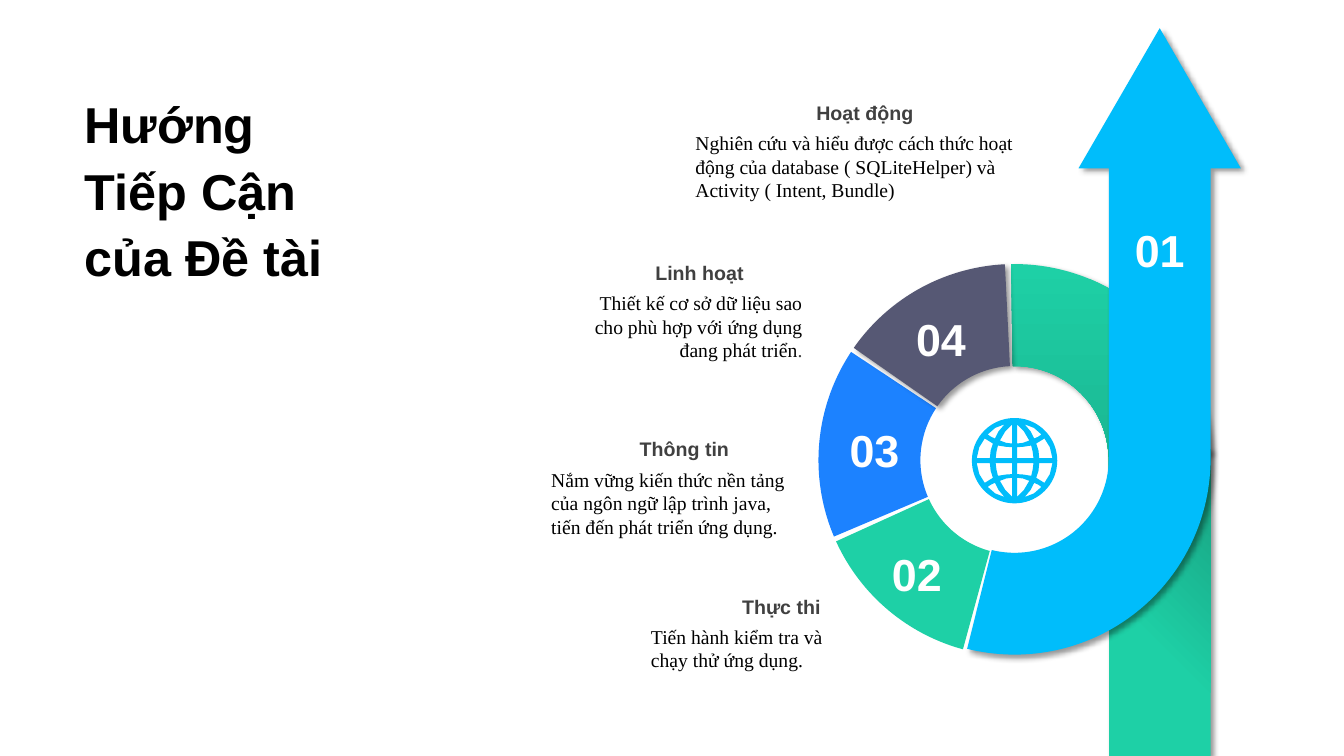
from itertools import product
from math import cos, radians, sin

from lxml import etree
from pptx import Presentation
from pptx import util as u
from pptx.dml import color
from pptx.enum import shapes, text
from pptx.oxml import ns

COLORS = {
    "sky": "00BDFB",
    "green": "1ED0A6",
    "deep": "179C7D",
    "blue": "1C82FF",
    "slate": "565874",
    "black": "000000",
    "gray": "404040",
    "white": "FFFFFF",
}
COLS, ROWS = 160, 90
LEFT, CENTER, RIGHT = text.PP_ALIGN.LEFT, text.PP_ALIGN.CENTER, text.PP_ALIGN.RIGHT


def rgb(name):
    return color.RGBColor.from_string(COLORS[name])


def write(tf, runs, size=14, font="Arial", bold=False, align=LEFT, spacing=None):
    p = tf.paragraphs[0]
    p.alignment = align
    p.line_spacing = spacing
    for content, name in runs:
        r = p.add_run()
        r.text = content
        r.font.size = u.Pt(size)
        r.font.name = font
        r.font.bold = bold
        r.font.color.rgb = rgb(name)


def arc(center, radius, start, end, step=2):
    turn = step if end > start else -step
    return [
        (center[0] + radius * cos(radians(a)), center[1] + radius * sin(radians(a)))
        for a in range(start, end + turn, turn)
    ]


class Deck:
    def __init__(self):
        self.prs = Presentation()
        self.prs.slide_width, self.prs.slide_height = u.Inches(13.333), u.Inches(7.5)
        self.cell = self.prs.slide_height / ROWS
        self.s = self.prs.slides.add_slide(self.prs.slide_layouts[6])

    def grid(self, *values):
        return [u.Emu(round(v * self.cell)) for v in values]

    def style(self, sp, fill, angle=None, start=0, shadow=False):
        sp.line.fill.background()
        if angle is None:
            sp.fill.solid()
            sp.fill.fore_color.rgb = rgb(fill)
        else:
            sp.fill.gradient()
            sp.fill.gradient_angle = angle
            stops = zip(sp.fill.gradient_stops, (fill, "deep"), (start, 1))
            for stop, name, position in stops:
                stop.color.rgb = rgb(name)
                stop.position = position
        sp.shadow.inherit = False
        if shadow:
            effects = sp.element.spPr.find(ns.qn("a:effectLst"))
            outer = etree.SubElement(
                effects, ns.qn("a:outerShdw"), blurRad="50800", dist="38100",
                dir="2700000", algn="tl", rotWithShape="0")
            tone = etree.SubElement(outer, ns.qn("a:srgbClr"), val=COLORS["black"])
            etree.SubElement(tone, ns.qn("a:alpha"), val="40000")

    def preset(self, kind, box, fill, rotation=0, adjust=(), **look):
        sp = self.s.shapes.add_shape(kind, *self.grid(*box))
        sp.rotation = rotation
        for i, value in enumerate(adjust):
            sp.adjustments[i] = value
        self.style(sp, fill, **look)

    def outline(self, contours, fill, **look):
        builder = None
        for contour in contours:
            first, *rest = [self.grid(*point) for point in contour]
            if builder is None:
                builder = self.s.shapes.build_freeform(*first)
            else:
                builder.move_to(*first)
            builder.add_line_segments(rest, close=True)
        self.style(builder.convert_to_shape(), fill, **look)

    def label(self, box, runs, grow=True, **form):
        tf = self.s.shapes.add_textbox(*self.grid(*box)).text_frame
        tf.word_wrap = True
        if grow:
            tf.auto_size = text.MSO_AUTO_SIZE.SHAPE_TO_FIT_TEXT
        else:
            tf.vertical_anchor = text.MSO_ANCHOR.MIDDLE
        write(tf, runs, **form)


RING = (97.44, 31.44, 46.68, 46.68)
RING_CENTER = (120.78, 54.6)
OUTER, INNER, ARROW_END = 23.34, 11.22, 104
SEGMENTS = [
    ("green", 285, (108.15, 138.31, 0.26), False),
    ("blue", 337, (108.04, 141.9, 0.26), False),
    ("slate", 36, (107.35, 138.7, 0.26), True),
]
NUMBERS = [("02", 102.48, 64.44), ("03", 97.44, 49.68),
           ("04", 105.36, 36.48), ("01", 131.4, 25.92)]
TOPICS = [
    ("Linh hoạt", 69.84, 30.48, 26.88, CENTER, 67.56, 29.16, 9.72, RIGHT,
     [("Thiết kế cơ sở dữ liệu sao cho phù hợp với ứng dụng đang phát triển", "black"),
      (".", "gray")]),
    ("Thông tin", 67.56, 51.48, 27.84, CENTER, 64.44, 30.84, 9.72, LEFT,
     [("Nắm vững kiến thức nền tảng của ngôn ngữ lập trình java, "
       "tiến đến phát triển ứng dụng.", "black")]),
    ("Thực thi", 83.64, 70.2, 15.24, RIGHT, 76.32, 25.56, 6.84, LEFT,
     [("Tiến hành kiểm tra và chạy thử ứng dụng.", "black")]),
    ("Hoạt động", 83.64, 11.4, 38.64, CENTER, 81.6, 40.68, 9.72, LEFT,
     [("Nghiên cứu và hiểu được cách thức hoạt động của database "
       "( SQLiteHelper) và Activity ( Intent, Bundle)", "black")]),
]
GLOBE_CENTER, GLOBE_RADIUS = (120.78, 54.84), 5.08
GLOBE_QUARTER = [
    [(0.3, 0.3), (0.3, 1.6), (1, 1.65), (1.98, 1.8), (2.15, 1.1), (2.25, 0.3)],
    [(2.94, 0.3), (2.85, 1.2), (2.58, 2.04), (3.55, 2.64), (4.2, 1.6), (4.5, 0.3)],
    [(0.3, 2.04), (0.3, 4.3), (1.1, 3.5), (1.75, 2.4), (1, 2.12)],
    [(2.34, 2.64), (1.9, 3.5), (1.2, 4.32), (2.3, 3.9), (3.2, 3.12), (2.8, 2.85)],
]


def main():
    deck = Deck()
    block_arc = shapes.MSO_SHAPE.BLOCK_ARC
    deck.preset(block_arc, RING, "green", 90, (107.35, 160.74, 0.26),
                angle=0, shadow=True)
    deck.preset(shapes.MSO_SHAPE.RECTANGLE, (132, 53.52, 12.12, 36.48), "green",
                angle=45, start=0.38, shadow=True)
    arrow = [(132, 20.04), (128.4, 20.04), (138.06, 3.36), (147.72, 20.04), (144.12, 20.04)]
    arrow += arc(RING_CENTER, OUTER, 0, ARROW_END)
    arrow += arc(RING_CENTER, INNER, ARROW_END, 0)
    deck.outline([arrow], "sky", shadow=True)
    for fill, rotation, adjust, shadow in SEGMENTS:
        deck.preset(block_arc, RING, fill, rotation, adjust, shadow=shadow)

    for title, x, y, w, align, body_x, body_w, body_h, body_align, runs in TOPICS:
        deck.label((body_x, y + 3.6, body_w, body_h), runs,
                   font="Times New Roman", align=body_align)
        deck.label((x, y, w, 4.08), [(title, "gray")], bold=True, align=align)
    for number, x, y in NUMBERS:
        deck.label((x, y, 13.32, 7.68), [(number, "white")],
                   size=32, bold=True, align=CENTER)
    deck.label((8.88, 9.96, 36.12, 24.6), [("Hướng Tiếp Cận của Đề tài", "black")],
               grow=False, size=36, bold=True, spacing=1.1)

    cx, cy = GLOBE_CENTER
    globe = [arc(GLOBE_CENTER, GLOBE_RADIUS, 0, 360, 5)]
    for sx, sy in product((1, -1), repeat=2):
        globe += [[(cx + sx * x, cy + sy * y) for x, y in pane] for pane in GLOBE_QUARTER]
    deck.outline(globe, "sky")
    deck.prs.save("out.pptx")


if __name__ == "__main__":
    main()
